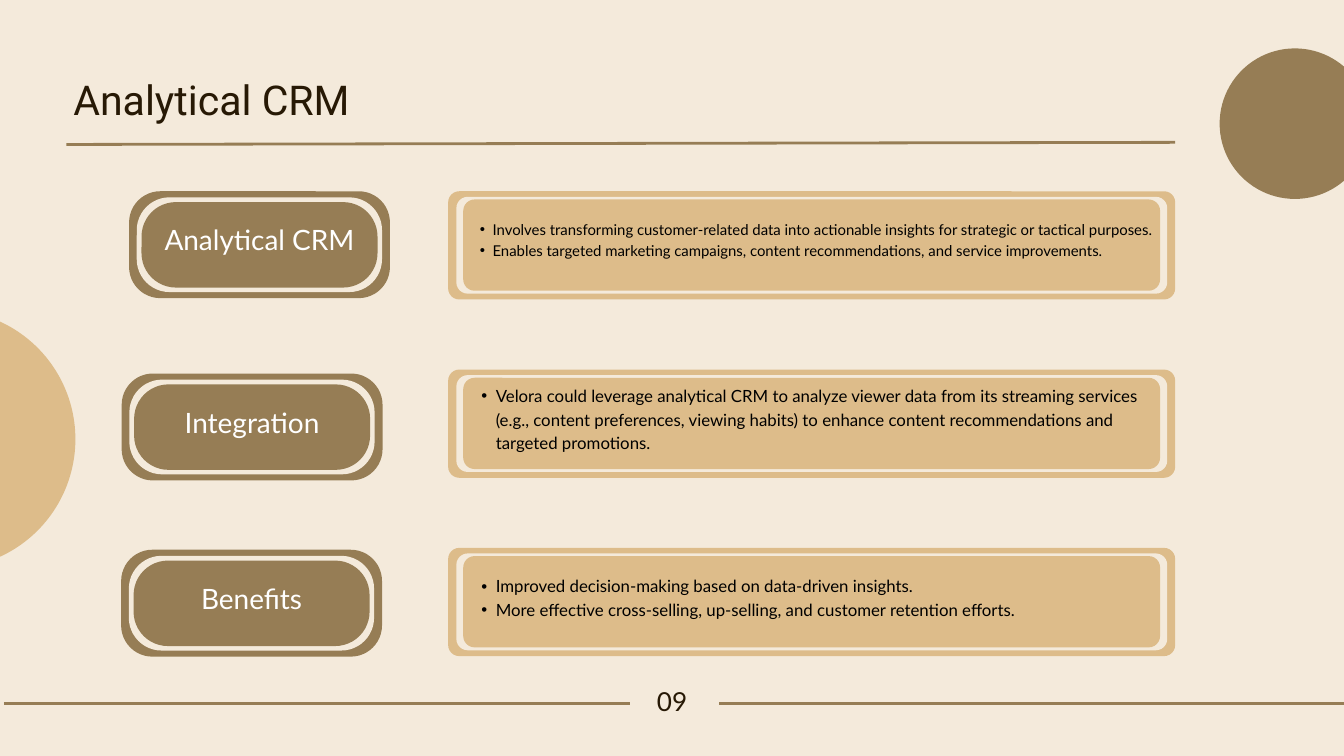
from lxml.etree import SubElement
from pptx import Presentation
from pptx.dml.color import RGBColor
from pptx.enum.shapes import MSO_CONNECTOR, MSO_SHAPE
from pptx.enum.text import MSO_ANCHOR, MSO_AUTO_SIZE, PP_ALIGN
from pptx.oxml.ns import qn
from pptx.util import Cm, Pt

COLORS = {
    "cream": "F4EADB",
    "brown": "967D55",
    "tan": "DDBC8A",
    "ink": "271905",
    "white": "FFFFFF",
    "black": "000000",
}

# Nested frames, outermost first: inset x, inset y, width, height, corner radius (cm)
LABEL_LAYERS = [
    (0, 0, 9.86, 4.04, 1.18),
    (0.29, 0.23, 9.27, 3.58, 1.24),
    (0.47, 0.41, 8.92, 3.23, 1.3),
]
PANEL_LAYERS = [
    (0, 0, 27.48, 4.09, 0.42),
    (0.31, 0.21, 26.87, 3.66, 0.43),
    (0.57, 0.31, 26.34, 3.45, 0.43),
]
PANEL_LEFT, PANEL_TOP, PANEL_PITCH = 16.94, 7.23, 6.74

# Label, label left, label top, bullet size (pt), text height (cm), bullets
ROWS = [
    ("Analytical CRM", 4.88, 7.23, 16, 3.96, [
        "Involves transforming customer-related data into actionable insights "
        "for strategic or tactical purposes.",
        "Enables targeted marketing campaigns, content recommendations, "
        "and service improvements.",
    ]),
    ("Integration", 4.6, 14.12, 18, 3.86, [
        "Velora could leverage analytical CRM to analyze viewer data from its "
        "streaming services (e.g., content preferences, viewing habits) to "
        "enhance content recommendations and targeted promotions.",
    ]),
    ("Benefits", 4.58, 20.78, 18, 3.86, [
        "Improved decision-making based on data-driven insights.",
        "More effective cross-selling, up-selling, and customer retention efforts.",
    ]),
]

presentation = Presentation()
presentation.slide_width = Cm(50.8)
presentation.slide_height = Cm(28.575)
slide = presentation.slides.add_slide(presentation.slide_layouts[5])
slide.background.fill.solid()
slide.background.fill.fore_color.rgb = RGBColor.from_string(COLORS["cream"])


def add_filled(kind, left, top, width, height, color, radius=None):
    shape = slide.shapes.add_shape(kind, Cm(left), Cm(top), Cm(width), Cm(height))
    shape.shadow.inherit = False
    shape.fill.solid()
    shape.fill.fore_color.rgb = RGBColor.from_string(COLORS[color])
    shape.line.fill.background()
    if radius is not None:
        shape.adjustments[0] = radius / min(width, height)


def write_text(shape, lines, size, color, spacing, inset=0, font="Lato",
               align=PP_ALIGN.LEFT, anchor=MSO_ANCHOR.TOP, bullet_indent=None):
    """Fill a text shape; bullet_indent (cm) turns the lines into a bulleted list."""
    frame = shape.text_frame
    frame_format = {
        "word_wrap": True,
        "auto_size": MSO_AUTO_SIZE.NONE,
        "vertical_anchor": anchor,
        **{f"margin_{side}": Cm(inset) for side in ("left", "top", "right", "bottom")},
    }
    for name, value in frame_format.items():
        setattr(frame, name, value)
    frame.text = "\n".join(lines)
    for paragraph in frame.paragraphs:
        paragraph.alignment = align
        paragraph.line_spacing = Pt(spacing)
        run_font = paragraph.runs[0].font
        for name, value in {"name": font, "size": Pt(size), "bold": False}.items():
            setattr(run_font, name, value)
        run_font.color.rgb = RGBColor.from_string(COLORS[color])
        if bullet_indent:
            paragraph.level = 1
            properties = paragraph._p.get_or_add_pPr()
            properties.set("marL", str(Cm(2 * bullet_indent)))
            properties.set("indent", str(-Cm(bullet_indent)))
            SubElement(properties, qn("a:buFont"), typeface="Arial")
            SubElement(properties, qn("a:buChar"), char="•")


# Decorative circles
for left, top, diameter, color in [(46.1, 1.83, 5.69, "brown"),
                                   (-6.93, 11.71, 9.78, "tan")]:
    add_filled(MSO_SHAPE.OVAL, left, top, diameter, diameter, color)

# Title and page number
title = slide.shapes.title
title_box = {"left": 2.77, "top": 2.82, "width": 42.29, "height": 1.88}
for name, value in title_box.items():
    setattr(title, name, Cm(value))
write_text(title, ["Analytical CRM"], 44, "ink", 52.8, font="Roboto")
page_number = slide.shapes.add_textbox(Cm(16.21), Cm(26.09), Cm(18.39), Cm(1.04))
write_text(page_number, ["09"], 28, "ink", 28, align=PP_ALIGN.CENTER)

# Rules beside the page number and under the title
for x1, y1, x2, y2 in [(27.18, 26.59, 50.8, 26.59),
                       (0.15, 26.59, 23.8, 26.59),
                       (2.51, 5.46, 44.42, 5.38)]:
    rule = slide.shapes.add_connector(MSO_CONNECTOR.STRAIGHT,
                                      Cm(x1), Cm(y1), Cm(x2), Cm(y2))
    rule.line.width = Pt(3)
    rule.line.color.rgb = RGBColor.from_string(COLORS["brown"])
    SubElement(rule._element.spPr, qn("a:effectLst"))

# Each row: a framed label and a framed panel of bullets
for row, (label, label_left, label_top, size, text_height, bullets) in enumerate(ROWS):
    panel_top = PANEL_TOP + row * PANEL_PITCH
    for layers, left, top, color in [(LABEL_LAYERS, label_left, label_top, "brown"),
                                     (PANEL_LAYERS, PANEL_LEFT, panel_top, "tan")]:
        for (dx, dy, width, height, radius), fill in zip(layers, (color, "cream", color)):
            add_filled(MSO_SHAPE.ROUNDED_RECTANGLE, left + dx, top + dy,
                       width, height, fill, radius)

    label_text = slide.shapes.add_textbox(Cm(label_left + 0.47), Cm(label_top - 0.2),
                                          Cm(8.92), Cm(3.84))
    write_text(label_text, [label], 30, "white", 42, inset=0.15,
               align=PP_ALIGN.CENTER, anchor=MSO_ANCHOR.MIDDLE)

    # The text box ends at the bottom of the innermost panel frame
    bullet_text = slide.shapes.add_textbox(Cm(PANEL_LEFT + 0.57),
                                           Cm(panel_top + 3.76 - text_height),
                                           Cm(26.34), Cm(text_height))
    write_text(bullet_text, bullets, size, "black", 1.4 * size, inset=0.15,
               anchor=MSO_ANCHOR.MIDDLE, bullet_indent=0.03 * size)

presentation.save("out.pptx")
